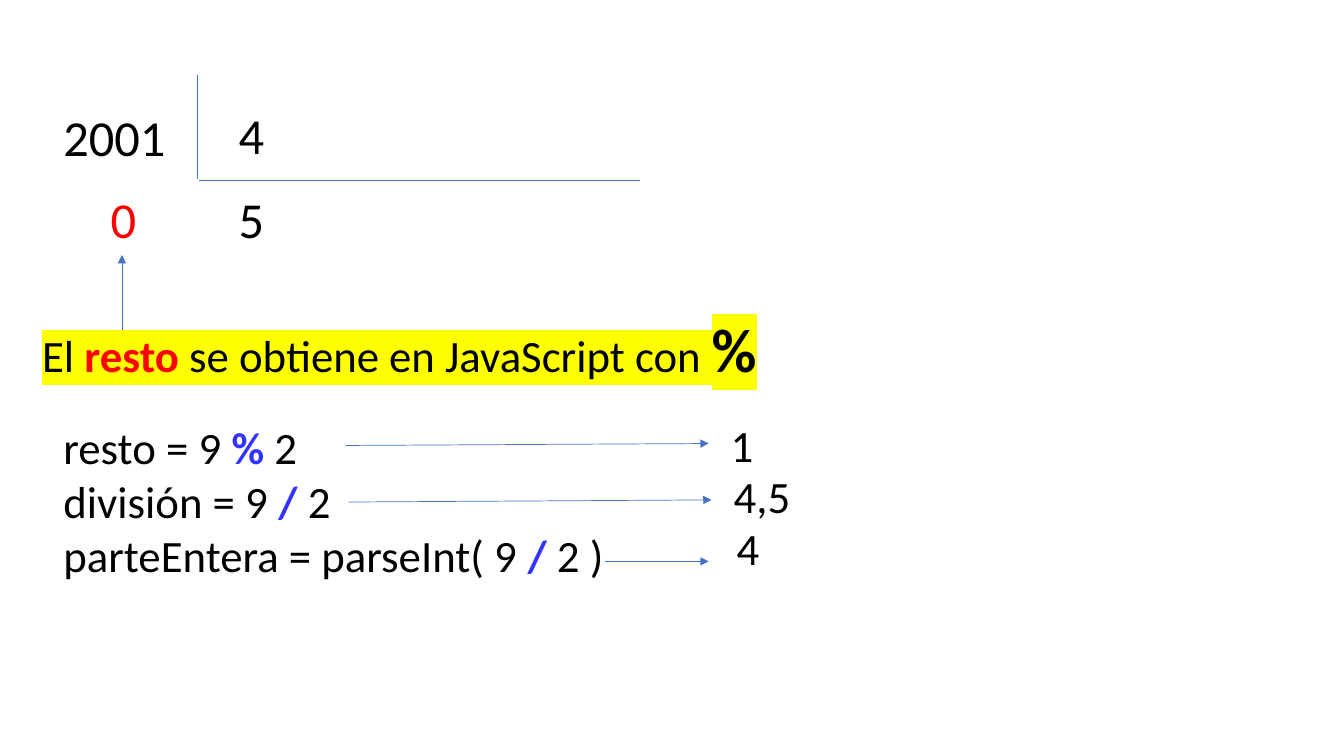
from lxml import etree
from pptx import Presentation
from pptx.dml.color import RGBColor
from pptx.enum.shapes import MSO_CONNECTOR
from pptx.enum.text import MSO_AUTO_SIZE
from pptx.oxml.ns import qn
from pptx.util import Pt

STRAIGHT = MSO_CONNECTOR.STRAIGHT
FIT_SHAPE = MSO_AUTO_SIZE.SHAPE_TO_FIT_TEXT
BLACK = RGBColor(0x00, 0x00, 0x00)
RED = RGBColor(0xFF, 0x00, 0x00)
OPERATOR_BLUE = RGBColor(0x33, 0x33, 0xFF)
LINE_BLUE = RGBColor(0x44, 0x72, 0xC4)
YELLOW = RGBColor(0xFF, 0xFF, 0x00)
FONT = "Calibri"
DIGIT_SIZE = 36
BODY_SIZE = 32

DIVISION_DIGITS = [
    ("2001", 38.2, 72, 88.6, BLACK),
    ("4", 163.4, 70.6, 33.1, BLACK),
    ("5", 163.4, 131, 33.1, BLACK),
    ("0", 72, 131, 33.1, RED),
]
EXPRESSIONS = [
    ("resto = 9 ", "%", " 2"),
    ("división = 9 ", "/", " 2"),
    ("parteEntera = parseInt( 9 ", "/", " 2 )"),
]
RESULTS = [
    ("1", 514.8, 294.5, (247, 318.2), (506.2, 316.8)),
    ("4,5", 517, 331.2, (249.1, 358.6), (508.3, 357.1)),
    ("4", 519.1, 368.6, (432, 401), (506.2, 401)),
]


def add_line(slide, start, end, arrow=False):
    connector = slide.shapes.add_connector(STRAIGHT, *map(Pt, start + end))
    connector.line.color.rgb = LINE_BLUE
    connector.line.width = Pt(0.5)
    properties = connector._element.spPr
    if arrow:
        outline = properties.find(qn("a:ln"))
        etree.SubElement(outline, qn("a:tailEnd"), type="triangle")
    etree.SubElement(properties, qn("a:effectLst"))


def add_text_box(slide, left, top, width, height, wrap=True):
    box = slide.shapes.add_textbox(Pt(left), Pt(top), Pt(width), Pt(height))
    frame = box.text_frame
    frame.word_wrap = wrap
    frame.auto_size = FIT_SHAPE
    return frame


def style_paragraph(paragraph, size, color=BLACK):
    paragraph.font.name = FONT
    paragraph.font.size = Pt(size)
    paragraph.font.color.rgb = color


def add_run(paragraph, text, color=BLACK, bold=False):
    run = paragraph.add_run()
    run.text = text
    run.font.bold = bold
    run.font.color.rgb = color
    return run


def highlight(run):
    marker = etree.SubElement(run.font._element, qn("a:highlight"))
    etree.SubElement(marker, qn("a:srgbClr"), val=str(YELLOW))


def add_label(slide, text, left, top, width, height, size, color=BLACK, wrap=True):
    paragraph = add_text_box(slide, left, top, width, height, wrap).paragraphs[0]
    paragraph.text = text
    style_paragraph(paragraph, size, color)


def add_division(slide):
    add_line(slide, (141, 53.3), (141, 128.2))
    add_line(slide, (141.8, 128.9), (457.2, 128.9))
    for text, left, top, width, color in DIVISION_DIGITS:
        add_label(slide, text, left, top, width, 51, DIGIT_SIZE, color, wrap=False)
    add_line(slide, (87.1, 246.2), (87.1, 182.2), arrow=True)


def add_statement(slide):
    paragraph = add_text_box(slide, 23, 218.9, 542.9, 60.5).paragraphs[0]
    style_paragraph(paragraph, BODY_SIZE)
    runs = [
        add_run(paragraph, "El "),
        add_run(paragraph, "resto", RED, bold=True),
        add_run(paragraph, " se obtiene en JavaScript con "),
        add_run(paragraph, "%", bold=True),
    ]
    for run in runs:
        highlight(run)
    runs[-1].font.size = Pt(44)


def add_expressions(slide):
    frame = add_text_box(slide, 38.2, 296.6, 412.6, 123.8)
    for index, (before, operator, after) in enumerate(EXPRESSIONS):
        paragraph = frame.add_paragraph() if index else frame.paragraphs[0]
        style_paragraph(paragraph, BODY_SIZE)
        add_run(paragraph, before)
        add_run(paragraph, operator, OPERATOR_BLUE, bold=True)
        add_run(paragraph, after)


def add_results(slide):
    for text, left, top, start, end in RESULTS:
        add_line(slide, start, end, arrow=True)
        add_label(slide, text, left, top, 62, 46, BODY_SIZE)


def main():
    presentation = Presentation()
    presentation.slide_width = Pt(960)
    presentation.slide_height = Pt(540)
    slide = presentation.slides.add_slide(presentation.slide_layouts[6])
    add_division(slide)
    add_statement(slide)
    add_expressions(slide)
    add_results(slide)
    presentation.save("out.pptx")


if __name__ == "__main__":
    main()
